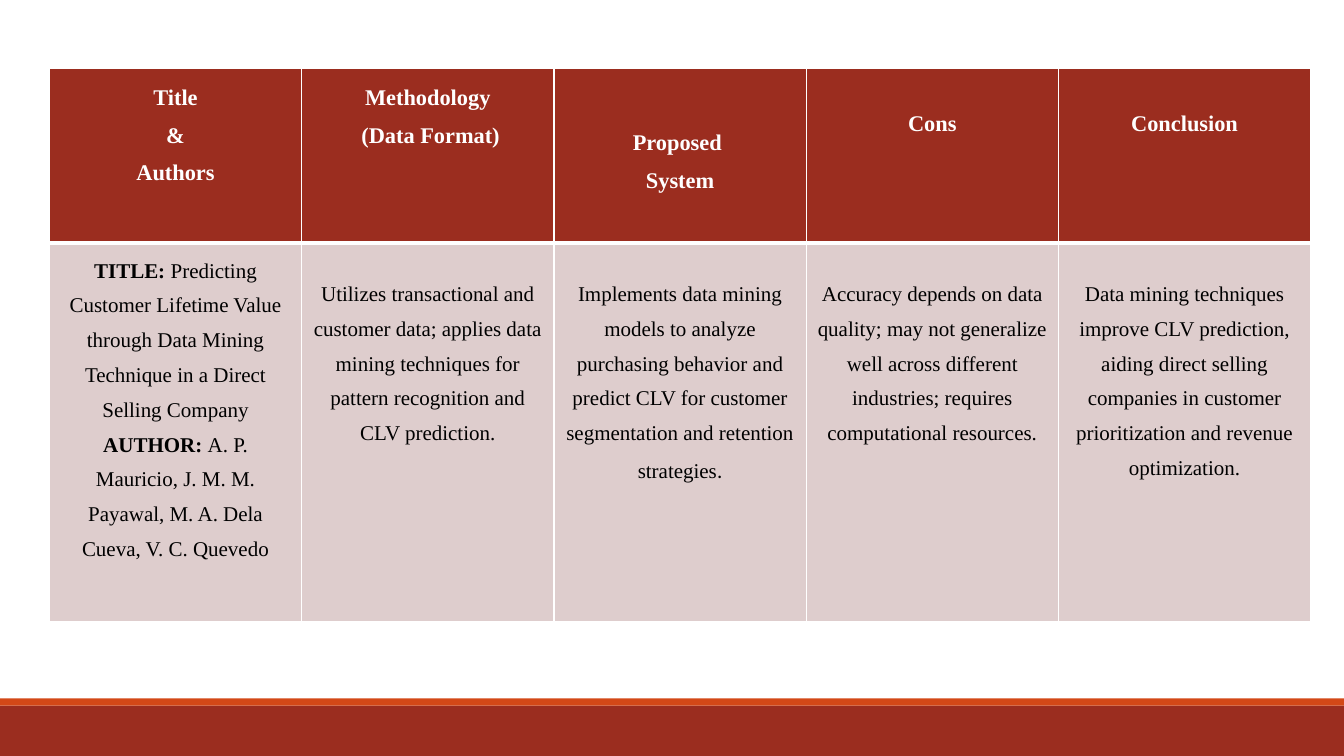
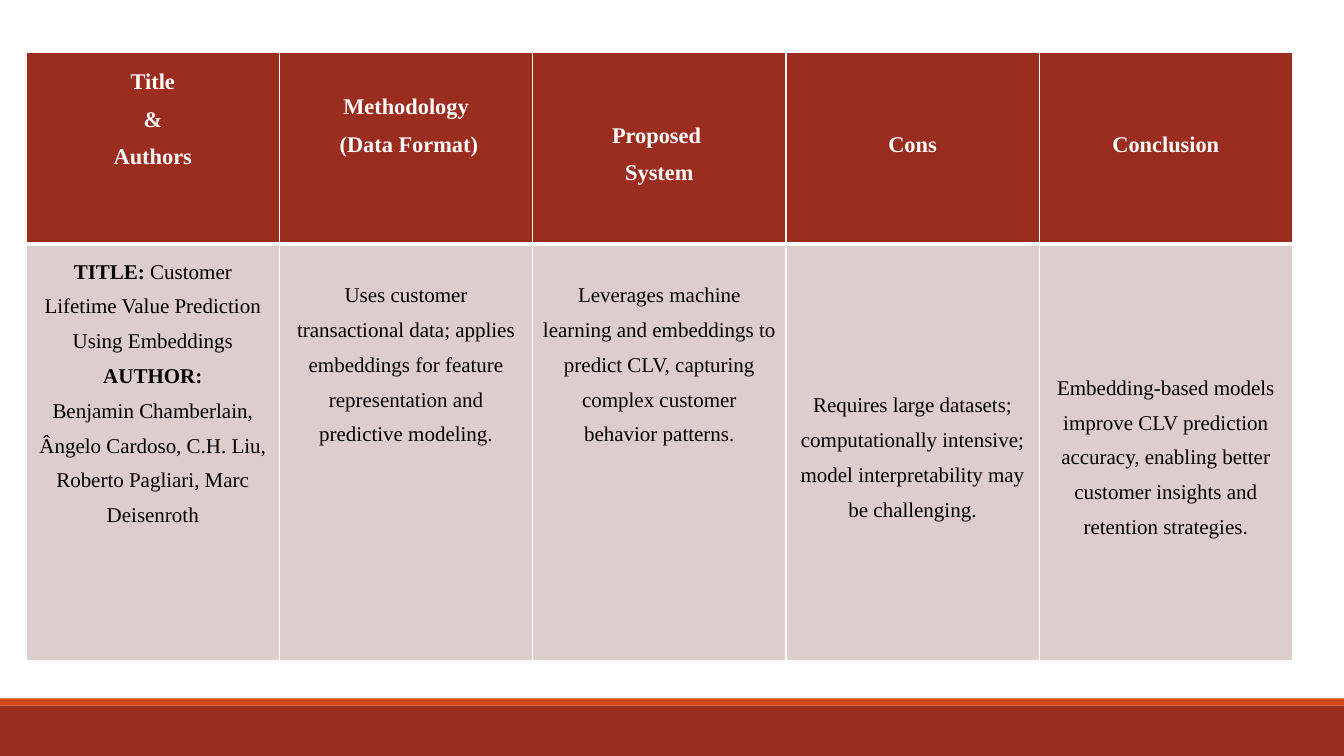
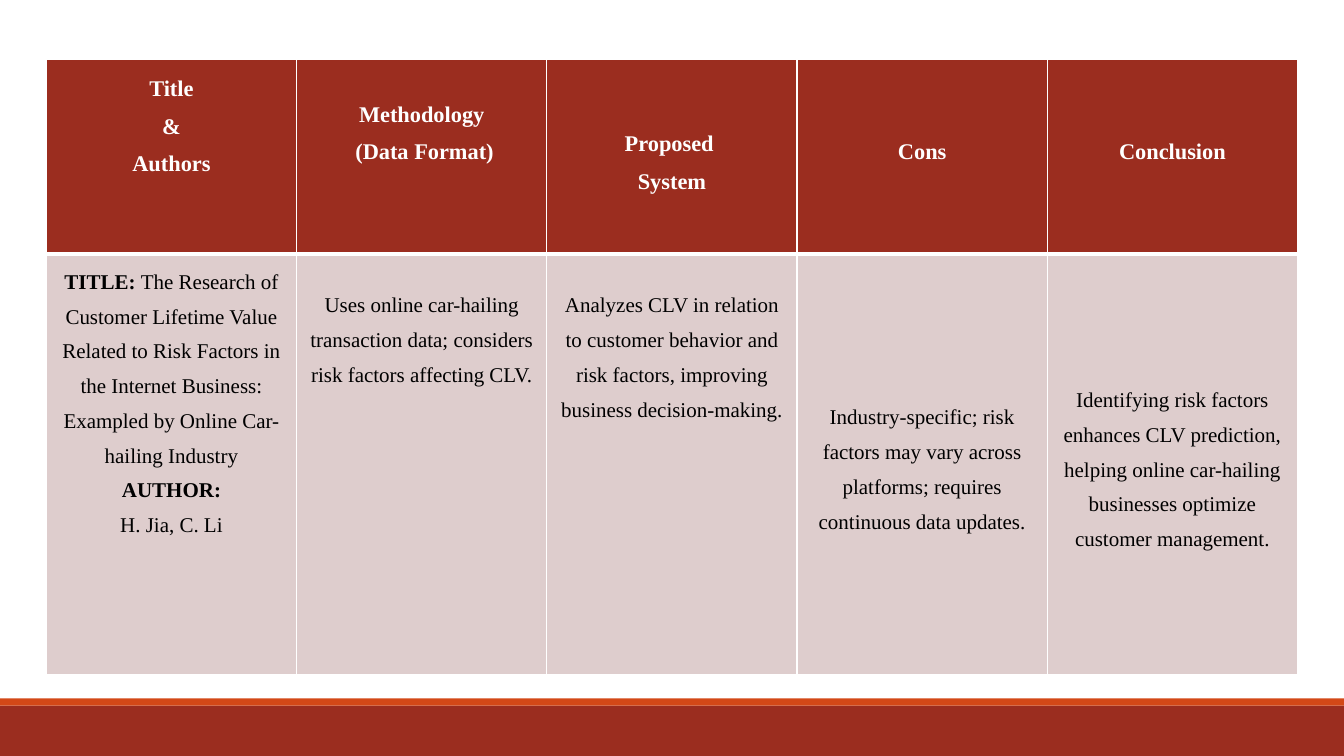
import lxml.etree
import pptx
import pptx.dml.color
import pptx.enum.shapes
import pptx.enum.text
import pptx.oxml.ns
import pptx.util

COLORS = {"brick": "9B2D1F", "orange": "D34817", "rose": "DECDCD",
          "white": "FFFFFF", "black": "000000"}
FONT, STOP_FONT = "Times New Roman", "Calibri"
LABELS = ("TITLE: ", "AUTHOR: ", "AUTHOR:")
MIDDLE = "middle"
DROPS = (0, 1, 2.5)  # line heights above the text, by step
WIDTH, HEIGHT = 13.33, 7.5

HEADINGS = [
    [["Title"], ["&"], ["Authors"]],
    [["Methodology"], [" (Data Format)"]],
    [["Proposed "], ["System"]],
    [["Cons"]],
    [["Conclusion"]],
]

# Each paper: table place, row heights, vertical place of each cell, findings
PAPERS = [
    {
        "at": (0.49, 0.68, 12.51), "rows": (1.73, 3.76),
        "places": [(0, 0, MIDDLE, 1, 1), (0, 1, 1, 1, 1)],
        "findings": [
            [["TITLE: ", "Predicting Customer Lifetime Value through Data Mining "
              "Technique in a Direct Selling Company"],
             ["AUTHOR: ", "A. P. Mauricio, J. M. M. Payawal, M. A. Dela Cueva, "
              "V. C. Quevedo"]],
            [["Utilizes transactional and customer data; applies data mining "
              "techniques for pattern recognition and CLV prediction."]],
            [["Implements data mining models to analyze purchasing behavior and "
              "predict CLV for customer segmentation and retention strategies", "."]],
            [["Accuracy depends on data quality; may not generalize well across "
              "different industries; requires computational resources."]],
            [["Data mining techniques improve CLV prediction, aiding direct selling "
              "companies in customer prioritization and revenue optimization."]],
        ],
    },
    {
        "at": (0.26, 0.52, 12.56), "rows": (1.9, 4.13),
        "places": [(0, 1, MIDDLE, 2, 2), (0, 1, 1, MIDDLE, MIDDLE)],
        "findings": [
            [["TITLE: ", "Customer Lifetime Value Prediction Using Embeddings"],
             ["AUTHOR:"],
             ["Benjamin Chamberlain, Ângelo Cardoso, C.H. Liu, Roberto Pagliari, "
              "Marc Deisenroth"]],
            [["Uses customer transactional data; applies embeddings for feature "
              "representation and predictive modeling."]],
            [["Leverages machine learning and embeddings to predict CLV, capturing "
              "complex customer behavior patterns."]],
            [["Requires large datasets; computationally intensive; model "
              "interpretability may be challenging."]],
            [["Embedding-based models improve CLV prediction accuracy, enabling "
              "better customer insights and retention strategies."]],
        ],
    },
    {
        "at": (0.46, 0.59, 12.41), "rows": (1.93, 4.17),
        "places": [(0, 1, MIDDLE, 2, 2), (0, 1, 1, MIDDLE, MIDDLE)],
        "findings": [
            [["TITLE: ", "The Research of Customer Lifetime Value Related to Risk "
              "Factors in the Internet Business: Exampled by Online Car-hailing "
              "Industry"],
             ["AUTHOR:"],
             ["H. Jia, C. Li"]],
            [["Uses online car-hailing transaction data; considers risk factors "
              "affecting CLV."]],
            [["Analyzes CLV in relation to customer behavior and risk factors, "
              "improving business decision-making."]],
            [["Industry-specific; risk factors may vary across platforms; requires "
              "continuous data updates."]],
            [["Identifying risk factors enhances CLV prediction, helping online "
              "car-hailing businesses optimize customer management."]],
        ],
    },
]


def rgb(name):
    return pptx.dml.color.RGBColor.from_string(COLORS[name])


def add_borders(tc, widths):
    """Draw white left, right, top and bottom borders, widths in points."""
    tc_pr = tc.find(pptx.oxml.ns.qn("a:tcPr"))
    for order, (side, points) in enumerate(zip("LRTB", widths)):
        border = lxml.etree.Element(pptx.oxml.ns.qn(f"a:ln{side}"),
                                    w=str(pptx.util.Pt(points)))
        fill = lxml.etree.SubElement(border, pptx.oxml.ns.qn("a:solidFill"))
        lxml.etree.SubElement(fill, pptx.oxml.ns.qn("a:srgbClr"), val=COLORS["white"])
        tc_pr.insert(order, border)


deck = pptx.Presentation()
deck.slide_width = pptx.util.Inches(WIDTH)
deck.slide_height = pptx.util.Inches(HEIGHT)
blank_layout = deck.slide_layouts[6]
slides = [deck.slides.add_slide(blank_layout) for paper in PAPERS]

# Footer bands, moved to the master so that every slide shows them
for top, height, color in ((7, 0.5, "brick"), (6.93, 0.07, "orange")):
    band = slides[0].shapes.add_shape(
        pptx.enum.shapes.MSO_SHAPE.RECTANGLE, 0, pptx.util.Inches(top),
        deck.slide_width, pptx.util.Inches(height))
    band.shadow.inherit = False
    band.fill.solid()
    band.fill.fore_color.rgb = rgb(color)
    band.line.fill.background()
    deck.slide_master.shapes.element.append(band.element)

# Row styles: fill, text colour, size, bold, border widths
ROW_STYLES = [("brick", "white", 16, True, (1, 1, 1, 3)),
              ("rose", "black", 15, False, (1, 1, 3, 1))]

# One literature table per slide
for slide, paper in zip(slides, PAPERS):
    left, top, width = (pptx.util.Inches(length) for length in paper["at"])
    frame = slide.shapes.add_table(2, len(HEADINGS), left, top, width,
                                   pptx.util.Inches(sum(paper["rows"])))
    survey = frame.table
    survey.horz_banding = False
    contents = (HEADINGS, paper["findings"])

    for row, (fill, ink, size, bold, borders) in enumerate(ROW_STYLES):
        survey.rows[row].height = pptx.util.Inches(paper["rows"][row])
        for column, paragraphs in enumerate(contents[row]):
            cell = survey.cell(row, column)
            cell.fill.solid()
            cell.fill.fore_color.rgb = rgb(fill)

            # Vertical place
            place = paper["places"][row][column]
            if place == MIDDLE:
                cell.vertical_anchor = pptx.enum.text.MSO_ANCHOR.MIDDLE
            else:
                cell.margin_top = pptx.util.Inches(0.05) + pptx.util.Pt(
                    DROPS[place] * size * 1.12)

            # Text
            for index, texts in enumerate(paragraphs):
                paragraph = (cell.text_frame.add_paragraph() if index
                             else cell.text_frame.paragraphs[0])
                paragraph.alignment = pptx.enum.text.PP_ALIGN.CENTER
                paragraph.line_spacing = 1.5
                for text in texts:
                    run = paragraph.add_run()
                    run.text = text
                    run.font.name = STOP_FONT if text == "." else FONT
                    run.font.size = pptx.util.Pt(size)
                    run.font.bold = bold or text in LABELS
                    run.font.color.rgb = rgb(ink)

    # Borders
    for position, tc in enumerate(frame.element.iter(pptx.oxml.ns.qn("a:tc"))):
        add_borders(tc, ROW_STYLES[position // len(HEADINGS)][-1])

deck.save("out.pptx")
